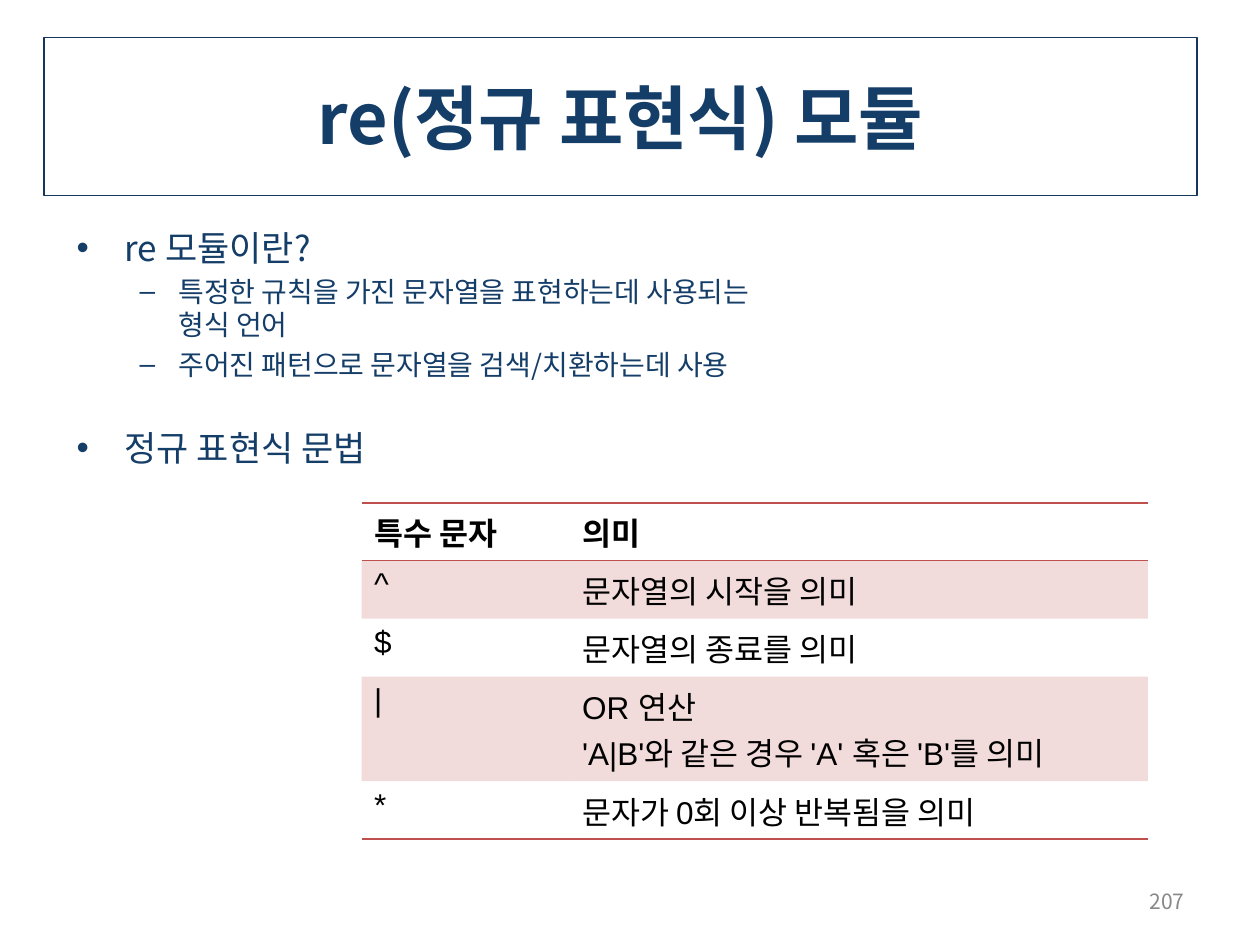
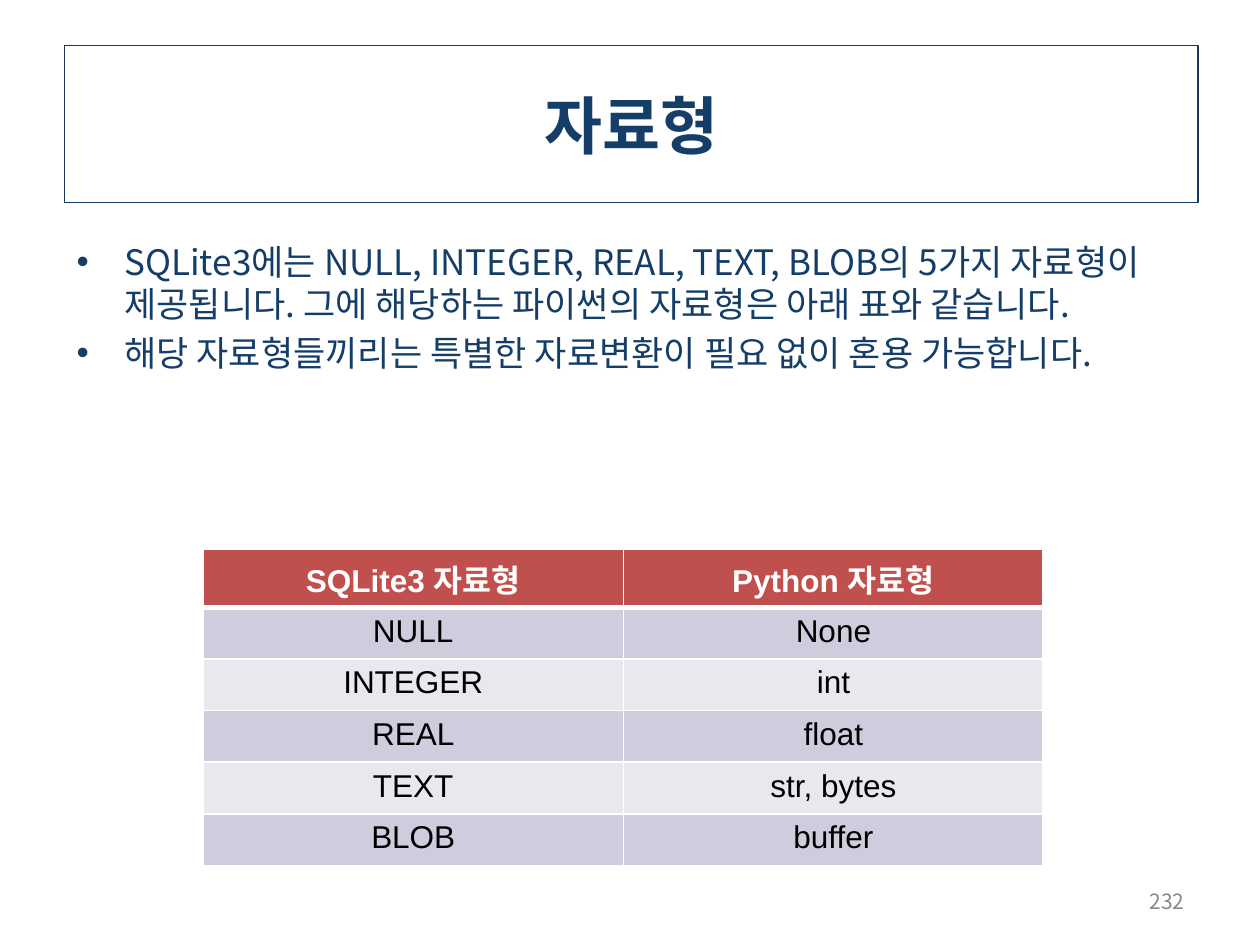
from collections.abc import Callable
from dataclasses import dataclass

from lxml import etree
from pptx import Presentation
from pptx.dml.color import RGBColor
from pptx.enum.shapes import MSO_SHAPE
from pptx.enum.text import MSO_ANCHOR, PP_ALIGN
from pptx.oxml.ns import qn
from pptx.util import Emu, Pt

RECTANGLE = MSO_SHAPE.RECTANGLE
MIDDLE = MSO_ANCHOR.MIDDLE
LEFT, CENTER, RIGHT = PP_ALIGN.LEFT, PP_ALIGN.CENTER, PP_ALIGN.RIGHT
EMU_PER_PX = 9144  # 100 px to the inch
BLANK_LAYOUT = 6


@dataclass(frozen=True)
class Theme:
    font: str = "Noto Sans CJK KR"
    table_font: str = "Arial"
    ink: str = "143D68"
    frame: str = "17365D"
    accent: str = "C0504D"
    band_dark: str = "CDCDDE"
    band_light: str = "E8E8EF"
    gray: str = "888888"
    black: str = "000000"
    white: str = "FFFFFF"
    table_size: int = 18
    number_size: int = 12
    line_pitch: float = 1.2


THEME = Theme()


@dataclass(frozen=True)
class Box:
    left: int
    top: int
    width: int
    height: int

    def emu(self) -> tuple[Emu, ...]:
        return tuple(px(value) for value in (self.left, self.top, self.width, self.height))


@dataclass(frozen=True)
class Level:
    bullet: str
    size: int
    margin: int
    hanging: int
    space_before: float


TOPIC = Level("•", 20, 38, 38, 4)
DETAIL = Level("–", 16, 81, 31, 3.2)


@dataclass(frozen=True)
class Item:
    text: str
    level: Level = TOPIC
    extra_space: float = 0


@dataclass(frozen=True)
class Fill:
    color: str
    opacity: int = 100


@dataclass(frozen=True)
class TableStyle:
    header_color: str
    header_fill: Fill | None
    bands: tuple[Fill | None, Fill | None]
    alignment: PP_ALIGN
    border_color: str
    border_widths: Callable[[int, int], dict[str, int]]


@dataclass(frozen=True)
class TableData:
    left: int
    top: int
    columns: tuple[int, ...]
    row_heights: tuple[int, ...]
    rows: tuple[tuple[str, ...], ...]
    style: TableStyle


@dataclass(frozen=True)
class Page:
    title: str
    title_size: int
    title_box: Box
    body_box: Box
    items: tuple[Item, ...]
    table: TableData
    number: int


def px(value: int) -> Emu:
    return Emu(value * EMU_PER_PX)


# Table border rules: side -> width in points
def ruled_borders(row: int, last: int) -> dict[str, int]:
    return {"L": 0, "R": 0, "T": int(row in (0, 1)), "B": int(row in (0, last))}


def grid_borders(row: int, last: int) -> dict[str, int]:
    return {"L": 1, "R": 1, "T": 3 if row == 1 else 1, "B": 3 if row == 0 else 1}


RULED = TableStyle(THEME.black, None, (Fill(THEME.accent, 20), None),
                   LEFT, THEME.accent, ruled_borders)
GRID = TableStyle(THEME.white, Fill(THEME.accent), (Fill(THEME.band_dark), Fill(THEME.band_light)),
                  CENTER, THEME.white, grid_borders)


# Text helpers
def format_runs(paragraph, size: int, color: str, font: str = THEME.font,
                bold: bool = False) -> None:
    for run in paragraph.runs:
        run.font.size = Pt(size)
        run.font.bold = bold
        run.font.name = font
        run.font.color.rgb = RGBColor.from_string(color)
        east_asian = etree.Element(qn("a:ea"), typeface=THEME.font)
        run.font._element.find(qn("a:latin")).addnext(east_asian)


def add_bullet(paragraph, level: Level) -> None:
    properties = paragraph._p.get_or_add_pPr()
    properties.set("marL", str(px(level.margin)))
    properties.set("indent", str(-px(level.hanging)))
    color = etree.SubElement(properties, qn("a:buClr"))
    etree.SubElement(color, qn("a:srgbClr"), val=THEME.ink)
    etree.SubElement(properties, qn("a:buFont"), typeface=THEME.table_font)
    etree.SubElement(properties, qn("a:buChar"), char=level.bullet)


# Slide parts
def add_title(slide, page: Page) -> None:
    shape = slide.shapes.add_shape(RECTANGLE, *page.title_box.emu())
    shape.shadow.inherit = False
    shape.fill.background()
    shape.line.color.rgb = RGBColor.from_string(THEME.frame)
    shape.line.width = Pt(0.75)
    text_frame = shape.text_frame
    text_frame.text = page.title
    text_frame.vertical_anchor = MIDDLE
    paragraph = text_frame.paragraphs[0]
    paragraph.alignment = CENTER
    format_runs(paragraph, page.title_size, THEME.ink, bold=True)


def add_body(slide, box: Box, items: tuple[Item, ...]) -> None:
    text_frame = slide.shapes.add_textbox(*box.emu()).text_frame
    text_frame.word_wrap = True
    for index, item in enumerate(items):
        paragraph = text_frame.add_paragraph() if index else text_frame.paragraphs[0]
        paragraph.text = item.text
        level = item.level
        add_bullet(paragraph, level)
        paragraph.level = int(level is DETAIL)
        paragraph.line_spacing = Pt(level.size * THEME.line_pitch)
        if index:
            paragraph.space_before = Pt(level.space_before + item.extra_space)
        format_runs(paragraph, level.size, THEME.ink)


def add_page_number(slide, number: int) -> None:
    text_frame = slide.shapes.add_textbox(*Box(717, 695, 233, 40).emu()).text_frame
    text_frame.word_wrap = True
    text_frame.vertical_anchor = MIDDLE
    text_frame.text = str(number)
    paragraph = text_frame.paragraphs[0]
    paragraph.alignment = RIGHT
    format_runs(paragraph, THEME.number_size, THEME.gray)


def set_borders(cell, color: str, widths: dict[str, int]) -> None:
    properties = cell._tc.get_or_add_tcPr()
    for side, width in widths.items():
        line = etree.SubElement(properties, qn(f"a:ln{side}"), w=str(Pt(width)))
        if width:
            solid = etree.SubElement(line, qn("a:solidFill"))
            etree.SubElement(solid, qn("a:srgbClr"), val=color)
        else:
            etree.SubElement(line, qn("a:noFill"))


def set_fill(cell, fill: Fill | None) -> None:
    if fill is None:
        cell.fill.background()
        return
    cell.fill.solid()
    cell.fill.fore_color.rgb = RGBColor.from_string(fill.color)
    if fill.opacity < 100:
        color = cell._tc.tcPr.find(f"{qn('a:solidFill')}/{qn('a:srgbClr')}")
        etree.SubElement(color, qn("a:alpha"), val=str(fill.opacity * 1000))


def add_data_table(slide, data: TableData) -> None:
    style = data.style
    box = Box(data.left, data.top, sum(data.columns), sum(data.row_heights))
    table = slide.shapes.add_table(len(data.rows), len(data.columns), *box.emu()).table
    table.horz_banding = False
    for column, width in zip(table.columns, data.columns):
        column.width = px(width)
    for index, (row, height, texts) in enumerate(zip(table.rows, data.row_heights, data.rows)):
        row.height = px(height)
        is_header = index == 0
        fill = style.header_fill if is_header else style.bands[(index - 1) % 2]
        color = style.header_color if is_header else THEME.black
        for cell, text in zip(row.cells, texts):
            set_borders(cell, style.border_color, style.border_widths(index, len(data.rows) - 1))
            set_fill(cell, fill)
            cell.text_frame.text = text
            for paragraph in cell.text_frame.paragraphs:
                paragraph.alignment = style.alignment
                format_runs(paragraph, THEME.table_size, color, THEME.table_font, is_header)


# Content
PAGES = (
    Page(
        "re(정규 표현식) 모듈", 40, Box(35, 30, 915, 125), Box(51, 175, 899, 495),
        (
            Item("re 모듈이란?"),
            Item("특정한 규칙을 가진 문자열을 표현하는데 사용되는\v형식 언어", DETAIL),
            Item("주어진 패턴으로 문자열을 검색/치환하는데 사용", DETAIL),
            Item("정규 표현식 문법", extra_space=22),
        ),
        TableData(287, 399, (165, 459), (46, 46, 46, 83, 46), (
            ("특수 문자", "의미"),
            ("^", "문자열의 시작을 의미"),
            ("$", "문자열의 종료를 의미"),
            ("|", "OR 연산\n'A|B'와 같은 경우 'A' 혹은 'B'를 의미"),
            ("*", "문자가 0회 이상 반복됨을 의미"),
        ), RULED),
        207,
    ),
    Page(
        "자료형", 36, Box(51, 36, 900, 125), Box(51, 186, 900, 461),
        (
            Item("SQLite3에는 NULL, INTEGER, REAL, TEXT, BLOB의 5가지 자료형이 제공됩니다. "
                 "그에 해당하는 파이썬의 자료형은 아래 표와 같습니다."),
            Item("해당 자료형들끼리는 특별한 자료변환이 필요 없이 혼용 가능합니다."),
        ),
        TableData(161, 436, (334, 333), (46,) + (41,) * 5, (
            ("SQLite3 자료형", "Python 자료형"),
            ("NULL", "None"),
            ("INTEGER", "int"),
            ("REAL", "float"),
            ("TEXT", "str, bytes"),
            ("BLOB", "buffer"),
        ), GRID),
        232,
    ),
)


def main() -> None:
    presentation = Presentation()
    presentation.slide_width, presentation.slide_height = px(1000), px(750)
    for page in PAGES:
        slide = presentation.slides.add_slide(presentation.slide_layouts[BLANK_LAYOUT])
        add_title(slide, page)
        add_body(slide, page.body_box, page.items)
        add_data_table(slide, page.table)
        add_page_number(slide, page.number)
    presentation.save("out.pptx")


if __name__ == "__main__":
    main()
